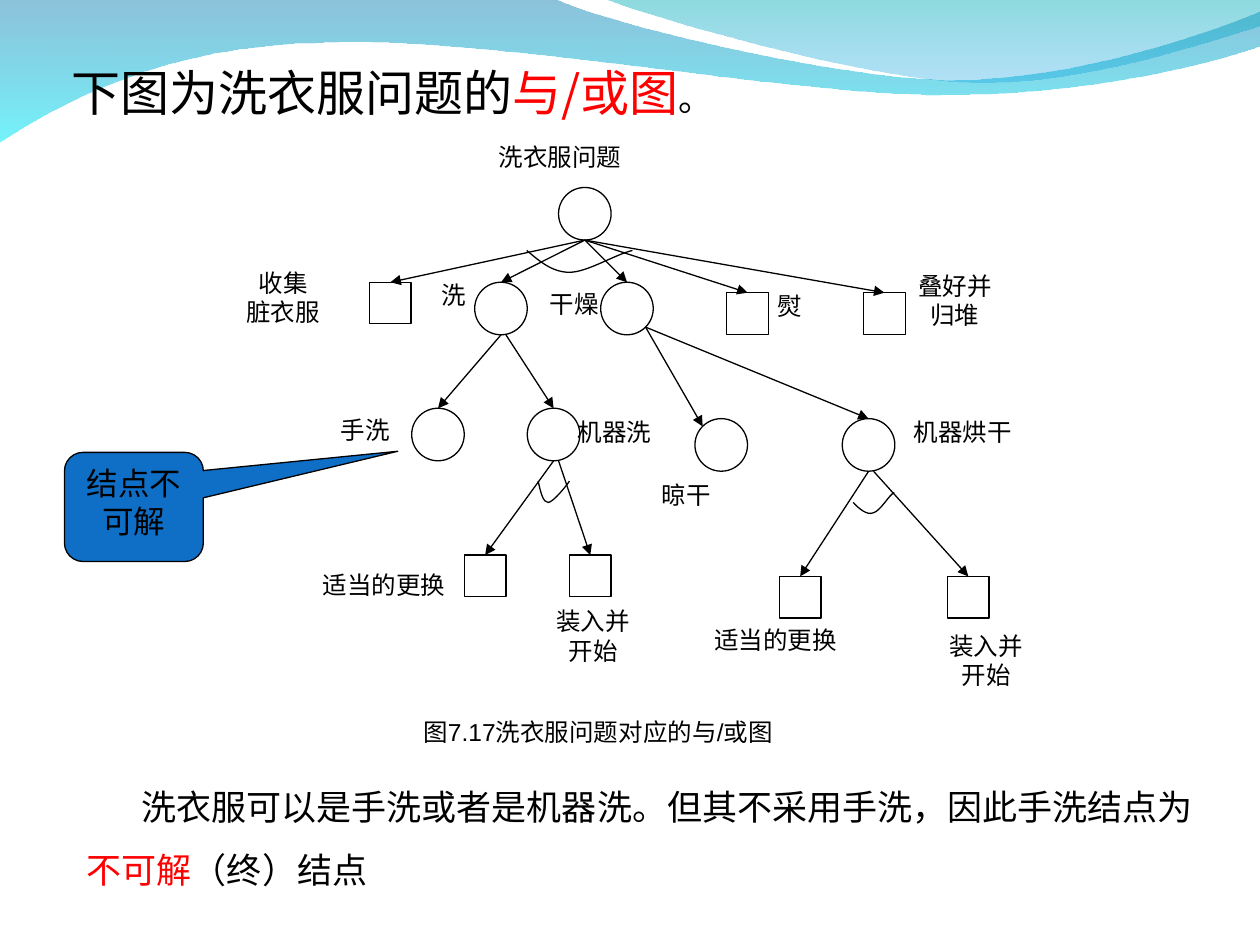
from lxml.etree import SubElement
from pptx import Presentation
from pptx.dml.color import RGBColor
from pptx.enum.shapes import MSO_CONNECTOR, MSO_SHAPE
from pptx.enum.text import MSO_ANCHOR, MSO_AUTO_SIZE, PP_ALIGN
from pptx.oxml.ns import qn
from pptx.util import Cm, Pt

BLACK = RGBColor(0, 0, 0)
RED = RGBColor(0xFF, 0, 0)
BLUE = RGBColor(0x0F, 0x6F, 0xC6)
WAVE_BLUE = RGBColor(0, 0x79, 0xAF)
WAVE_CYAN = RGBColor(0, 0xEB, 0xF8)
WAVE_TEAL = RGBColor(0, 0xAD, 0xB6)
WAVE_SKY = RGBColor(0, 0x9B, 0xE5)
LATIN, CHINESE = "Arial", "Noto Sans CJK SC"
CIRCLE, SQUARE = 1.06, 0.84
DIAGONAL = CIRCLE / 2 * 0.5 ** 0.5

# Outlines in cm: a start point, then lines (x, y) or Bezier curves (6 numbers)
LONG_WAVE = [(0, -0.03), (11.18, -0.03), (12.09, 0.43, 16.87, 1.6, 19.25, 1.6),
             (21.67, 1.6, 24.33, 0.66, 25.4, 0.23), (25.43, 0.91),
             (24.97, 1.12, 22.1, 1.93, 18.95, 1.91),
             (15.8, 1.91, 9.7, 0.71, 6.53, 0.86),
             (3.28, 0.89, 1.17, 2.11, -0.03, 2.87)]
RIGHT_WAVE = [(12.17, -0.03), (12.93, 0.28, 17.32, 1.57, 19.53, 1.65),
              (21.74, 1.75, 24.41, 0.81, 25.4, 0.53), (25.4, 0)]
AND_ARCS = [
    [(10.62, 5.05), (10.87, 5.26, 11.13, 5.49, 11.48, 5.49),
     (11.84, 5.49, 12.4, 5.13, 12.75, 5.05)],
    [(10.85, 9.7), (10.9, 9.93, 10.95, 10.13, 11.05, 10.13),
     (11.15, 10.13, 11.43, 9.78, 11.48, 9.7)],
    [(17.2, 10.13), (17.32, 10.26, 17.48, 10.39, 17.6, 10.34),
     (17.75, 10.31, 17.93, 9.96, 18.03, 9.93)],
]

# Nodes: centre x and top in cm; squares are solvable end nodes
CIRCLES = {"laundry": (11.79, 3.78), "wash": (10.1, 5.69), "dry": (12.64, 5.69),
           "hand wash": (8.83, 8.23), "machine wash": (11.16, 8.23),
           "air dry": (14.54, 8.44), "machine dry": (17.51, 8.44)}
SQUARES = {"collect": (7.87, 5.69), "iron": (15.07, 5.9), "stack": (17.83, 5.9),
           "wash change": (9.78, 11.19), "wash start": (11.9, 11.19),
           "dry change": (16.13, 11.62), "dry start": (19.52, 11.62)}
CHILDREN = {"laundry": ["collect", "wash", "dry", "iron", "stack"],
            "wash": ["hand wash", "machine wash"],
            "machine wash": ["wash change", "wash start"],
            "machine dry": ["dry change", "dry start"]}
# Labels: centre x, top, text
LABELS = [(11.29, 2.73, "洗衣服问题"), (5.71, 5.27, "收集\n脏衣服"), (9.14, 5.53, "洗"),
          (11.58, 5.7, "干燥"), (15.92, 5.74, "熨"), (19.25, 5.34, "叠好并\n归堆"),
          (7.36, 8.24, "手洗"), (12.39, 8.28, "机器洗"), (7.74, 11.37, "适当的更换"),
          (11.96, 12.1, "装入并\n开始"), (13.84, 9.55, "晾干"),
          (19.41, 8.28, "机器烘干"), (15.64, 12.47, "适当的更换"),
          (19.88, 12.59, "装入并\n开始")]


def format_run(run, size, color=BLACK, latin=LATIN):
    run.font.size = Pt(size)
    run.font.color.rgb = color
    run.font.name = latin
    SubElement(run.font._element, qn("a:ea"), typeface=CHINESE)


def add_text(shapes, left, top, width, height, wrap):
    box = shapes.add_textbox(Cm(left), Cm(top), Cm(width), Cm(height))
    frame = box.text_frame
    frame.word_wrap = wrap
    frame.auto_size = MSO_AUTO_SIZE.SHAPE_TO_FIT_TEXT
    return frame


def add_runs(paragraph, runs):
    for text, *style in runs:
        run = paragraph.add_run()
        run.text = text
        format_run(run, *style)


def center_text(frame, text, size):
    frame.text = text
    for paragraph in frame.paragraphs:
        paragraph.alignment = PP_ALIGN.CENTER
        for run in paragraph.runs:
            format_run(run, size)


def add_label(shapes, center, top, text, width=None):
    lines = text.split("\n")
    width = width or 0.5 + 0.5 * max(map(len, lines))
    frame = add_text(shapes, center - width / 2, top, width,
                     0.27 + 0.59 * len(lines), False)
    center_text(frame, text, 14)


def set_outline(shape):
    shape.line.color.rgb = BLACK
    shape.line.width = Pt(0.75)


def add_outline(shapes, outline, close):
    """Draw a freeform through all points, then join each curve's three points."""
    points = [(Cm(segment[i]), Cm(segment[i + 1]))
              for segment in outline for i in range(0, len(segment), 2)]
    builder = shapes.build_freeform(*points[0])
    builder.add_line_segments(points[1:], close=close)
    shape = builder.convert_to_shape()
    shape.shadow.inherit = False
    lines = iter(shape._element.spPr.findall(".//" + qn("a:lnTo")))
    for segment in outline[1:]:
        corners = [next(lines) for _ in range(len(segment) // 2)]
        if len(corners) == 3:
            curve = corners[0].makeelement(qn("a:cubicBezTo"))
            corners[0].addprevious(curve)
            for corner in corners:
                curve.append(corner[0])
                corner.getparent().remove(corner)
    return shape


def add_wave(shapes, outline, *stops):
    """Draw a band with a downward gradient; each stop is a colour and an opacity."""
    wave = add_outline(shapes, outline, True)
    wave.line.fill.background()
    wave.fill.gradient()
    wave.fill.gradient_angle = 270
    for stop, (color, opacity) in zip(wave.fill.gradient_stops, stops):
        stop.color.rgb = color
        rgb = wave._element.spPr.findall(".//" + qn("a:srgbClr"))[-1]
        SubElement(rgb, qn("a:alpha"), val=str(opacity * 1000))


def add_and_arc(shapes, outline):
    arc = add_outline(shapes, outline, False)
    arc.fill.background()
    set_outline(arc)


def add_node(shapes, kind, size, center, top):
    node = shapes.add_shape(kind, Cm(center - size / 2), Cm(top), Cm(size), Cm(size))
    node.shadow.inherit = False
    node.fill.background()
    set_outline(node)


def add_arrow(shapes, start, end):
    arrow = shapes.add_connector(MSO_CONNECTOR.STRAIGHT,
                                 *(Cm(value) for value in (*start, *end)))
    set_outline(arrow)
    SubElement(arrow.line._get_or_add_ln(), qn("a:tailEnd"), type="triangle")
    SubElement(arrow._element.spPr, qn("a:effectLst"))


def add_arrows(shapes):
    tops = CIRCLES | SQUARES
    for parent, children in CHILDREN.items():
        x, top = CIRCLES[parent]
        for index, child in enumerate(children):
            shift = 0.1 * index if parent != "laundry" else 0
            add_arrow(shapes, (x + shift, top + CIRCLE), tops[child])
    dry_x, dry_top = CIRCLES["dry"]
    air_x, air_top = CIRCLES["air dry"]
    dry_corner = (dry_x + DIAGONAL, dry_top + CIRCLE / 2 + DIAGONAL)
    add_arrow(shapes, dry_corner,
              (air_x - DIAGONAL, air_top + CIRCLE / 2 - DIAGONAL))
    add_arrow(shapes, dry_corner, CIRCLES["machine dry"])


def add_graph(shapes):
    for position in CIRCLES.values():
        add_node(shapes, MSO_SHAPE.OVAL, CIRCLE, *position)
    for position in SQUARES.values():
        add_node(shapes, MSO_SHAPE.RECTANGLE, SQUARE, *position)
    add_arrows(shapes)
    for arc in AND_ARCS:
        add_and_arc(shapes, arc)
    for label in LABELS:
        add_label(shapes, *label)
    add_label(shapes, 12.06, 14.33, "图7.17洗衣服问题对应的与/或图", 8.03)


def add_callout(shapes):
    callout = shapes.add_shape(MSO_SHAPE.ROUNDED_RECTANGULAR_CALLOUT,
                               Cm(1.3), Cm(9.12), Cm(2.8), Cm(2.2))
    for index, value in enumerate((1.9, -0.51, 0.17)):
        callout.adjustments[index] = value
    callout.shadow.inherit = False
    callout.fill.solid()
    callout.fill.fore_color.rgb = BLUE
    set_outline(callout)
    frame = callout.text_frame
    frame.word_wrap = True
    frame.vertical_anchor = MSO_ANCHOR.TOP
    center_text(frame, "结点不可解", 18)


def add_explanation(shapes):
    paragraph = add_text(shapes, 1.5, 15.28, 23.06, 2.8, True).paragraphs[0]
    paragraph.line_spacing = 1.5
    paragraph._p.get_or_add_pPr().set("indent", str(Cm(1.1)))
    add_runs(paragraph, [
        ("洗衣服可以是手洗或者是机器洗。但其不采用手洗，因此手洗结点为", 20),
        ("不可解", 20, RED), ("（终）结点", 20)])


def main():
    presentation = Presentation()
    presentation.slide_width, presentation.slide_height = Cm(25.4), Cm(19.05)
    shapes = presentation.slides.add_slide(presentation.slide_layouts[6]).shapes
    add_wave(shapes, LONG_WAVE, (WAVE_BLUE, 45), (WAVE_CYAN, 55))
    add_wave(shapes, RIGHT_WAVE, (WAVE_TEAL, 45), (WAVE_SKY, 30))
    title = add_text(shapes, 1.2, 1.14, 23.06, 1.45, True)
    add_runs(title.paragraphs[0], [("下图为洗衣服问题的", 28, BLACK, CHINESE),
                                   ("与/或图", 28, RED, CHINESE), ("。", 20)])
    add_graph(shapes.add_group_shape().shapes)
    add_explanation(shapes)
    add_callout(shapes)
    presentation.save("out.pptx")


if __name__ == "__main__":
    main()
